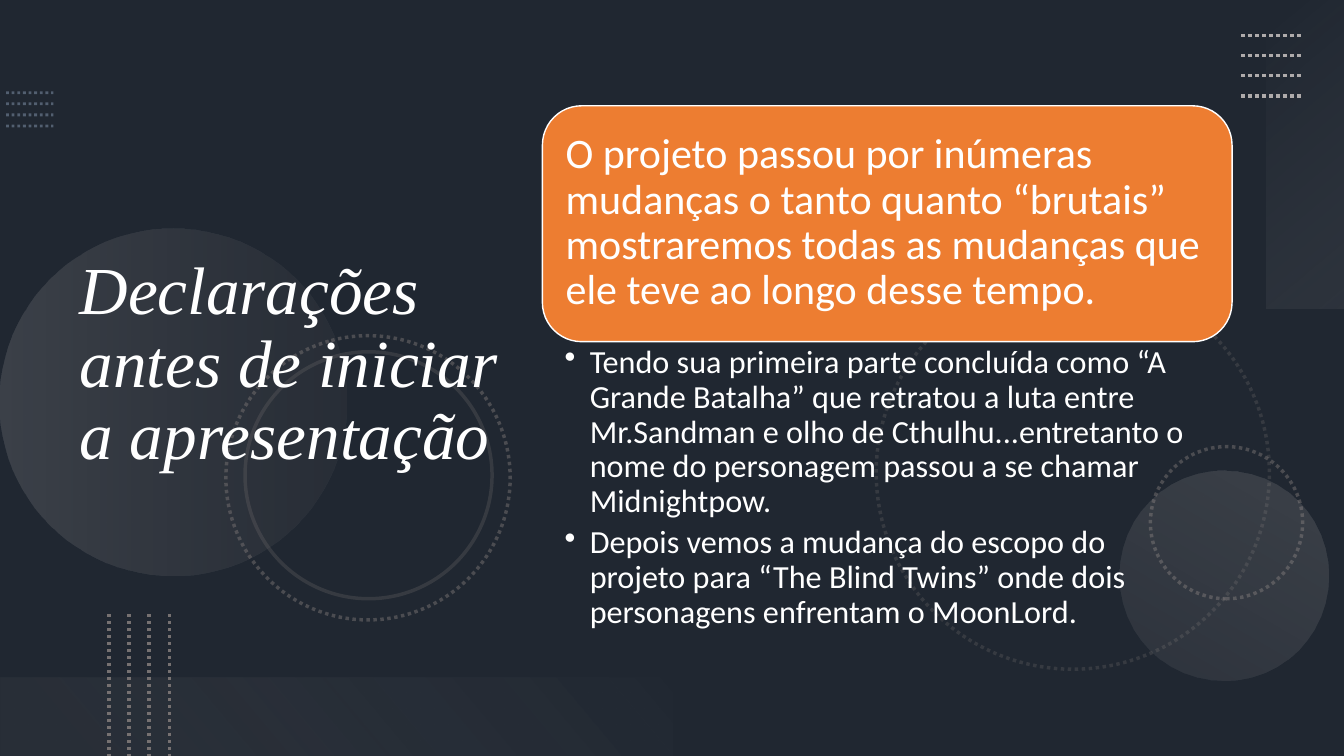
from lxml import etree
from pptx import Presentation
from pptx import util as u
from pptx.dml.color import RGBColor
from pptx.enum import dml, shapes, text
from pptx.oxml.ns import qn

SHAPE = shapes.MSO_SHAPE
WHITE, GREY, SILVER = "FFFFFF", "767171", "AFABAB"


def rgb(value):
    return RGBColor.from_string(value)


def set_alpha(s, *percents):
    for color, percent in zip(s._element.iter(qn("a:srgbClr")), percents):
        etree.SubElement(color, qn("a:alpha")).set("val", str(percent * 1000))


class SlideBuilder:
    body_font = "Calibri"
    title_font = "Times New Roman"
    line_spacing = 0.9

    def __init__(self, slide):
        self.slide = slide

    def background(self, color):
        fill = self.slide.background.fill
        fill.solid()
        fill.fore_color.rgb = rgb(color)

    def outline(self, s, color, width, dotted=False):
        s.line.color.rgb = rgb(color)
        s.line.width = u.Pt(width)
        if dotted:
            s.line.dash_style = dml.MSO_LINE.ROUND_DOT

    def shape(self, kind, box, rotation=0, fill=None):
        s = self.slide.shapes.add_shape(kind, *map(u.Inches, box))
        s.shadow.inherit = False
        s.rotation = rotation
        s.line.fill.background()
        if fill:
            s.fill.solid()
            s.fill.fore_color.rgb = rgb(fill)
        else:
            s.fill.background()
        return s

    def gradient(self, kind, box, rotation, angle, *stops):
        s = self.shape(kind, box, rotation)
        s.fill.gradient()
        s.fill.gradient_angle = 360 - angle
        for stop, (position, color, _) in zip(s.fill.gradient_stops, stops):
            stop.position = position
            stop.color.rgb = rgb(color)
        set_alpha(s, *(stop[2] for stop in stops))

    def ring(self, left, top, size, rotation, alpha, dotted=True):
        s = self.shape(SHAPE.OVAL, (left, top, size, size), rotation)
        self.outline(s, GREY, 2.5, dotted)
        set_alpha(s, alpha)

    def dotted_lines(self, start, end, step, color, width=2.5, alpha=100):
        for i in range(4):
            shift = [i * d for d in step]
            ends = [a + d for a, d in zip(start + end, shift * 2)]
            s = self.slide.shapes.add_connector(
                shapes.MSO_CONNECTOR.STRAIGHT, *map(u.Inches, ends))
            self.outline(s, color, width, True)
            set_alpha(s, alpha)
            etree.SubElement(s._element.spPr, qn("a:effectLst"))

    def text(self, box, paragraphs, size, font=None, italic=False,
             insets=(0.1, 0.05, 0.1, 0.05), middle=True, bullets=False):
        s = self.slide.shapes.add_textbox(*map(u.Inches, box))
        tf = s.text_frame
        tf.word_wrap = True
        anchor = text.MSO_ANCHOR
        tf.vertical_anchor = anchor.MIDDLE if middle else anchor.TOP
        (tf.margin_left, tf.margin_top,
         tf.margin_right, tf.margin_bottom) = map(u.Inches, insets)
        for i, content in enumerate(paragraphs):
            p = tf.add_paragraph() if i else tf.paragraphs[0]
            p.text = content
            p.line_spacing = self.line_spacing
            p.font.name = font or self.body_font
            p.font.size = u.Pt(size)
            p.font.italic = italic
            p.font.color.rgb = rgb(WHITE)
            if bullets:
                self.bullet(p, size)

    def bullet(self, p, size):
        p.space_after = u.Pt(round(size * 0.2, 1))
        pPr = p._p.get_or_add_pPr()
        pPr.set("marL", str(u.Inches(0.25)))
        pPr.set("indent", str(u.Inches(-0.25)))
        mark = etree.Element(qn("a:buChar"), char="•")
        pPr.find(qn("a:defRPr")).addprevious(mark)


def main():
    prs = Presentation()
    prs.slide_width, prs.slide_height = u.Inches(13.33), u.Inches(7.5)
    b = SlideBuilder(prs.slides.add_slide(prs.slide_layouts[6]))

    b.background("44546A")
    shade = b.shape(SHAPE.RECTANGLE, (0, 0, 13.33, 7.5), fill="000000")
    set_alpha(shade, 53)
    b.dotted_lines((0.06, 0.92), (0.53, 0.92), (0, 0.11), "8497B0", 2, 50)

    b.ring(8.69, 2.74, 3.9, 75, 25)
    b.ring(11.41, 4.43, 1.51, 270, 50)
    b.gradient(SHAPE.OVAL, (0, 2.27, 3.44, 3.44), 270, 90,
               (0, SILVER, 20), (1, GREY, 10))
    b.gradient(SHAPE.OVAL, (11.1, 4.67, 2.08, 2.08), 210, 90,
               (0, SILVER, 10), (1, SILVER, 20))
    b.ring(2.24, 3.33, 2.82, 75, 50)
    b.ring(2.43, 3.49, 2.45, 75, 25, dotted=False)

    b.gradient(SHAPE.RECTANGLE, (11.42, 1.14, 3.06, 0.78), 270, 140,
               (0, "F5F5F5", 0), (1, SILVER, 10))
    b.dotted_lines((12.31, 0.35), (12.91, 0.35), (0, 0.2), SILVER)
    b.gradient(SHAPE.RECTANGLE, (0, 6.72, 6.67, 0.78), 180, 140,
               (0.1, GREY, 10), (1, "F1F0F0", 0))
    b.dotted_lines((1.08, 6.09), (1.08, 7.5), (0.2, 0), GREY)

    b.text((0.69, 0.54, 4.59, 6.17),
           ["Declarações antes de iniciar a apresentação"],
           48, b.title_font, italic=True)
    card = b.shape(SHAPE.ROUNDED_RECTANGLE, (5.38, 1.05, 6.84, 2.34),
                   fill="ED7D31")
    b.outline(card, WHITE, 1)
    b.text((5.49, 1.16, 6.61, 2.11),
           ["O projeto passou por inúmeras mudanças o tanto quanto “brutais” "
            "mostraremos todas as mudanças que ele teve ao longo desse tempo."],
           30, insets=(0.12,) * 4)
    b.text((5.38, 3.39, 6.84, 2.99),
           ["Tendo sua primeira parte concluída como “A Grande Batalha” que "
            "retratou a luta entre Mr.Sandman e olho de Cthulhu...entretanto o "
            "nome do personagem passou a se chamar Midnightpow.",
            "Depois vemos a mudança do escopo do projeto para “The Blind "
            "Twins” onde dois personagens enfrentam o MoonLord."],
           23, insets=(0.22, 0.04, 0.23, 0.04), middle=False, bullets=True)

    prs.save("out.pptx")


if __name__ == "__main__":
    main()
